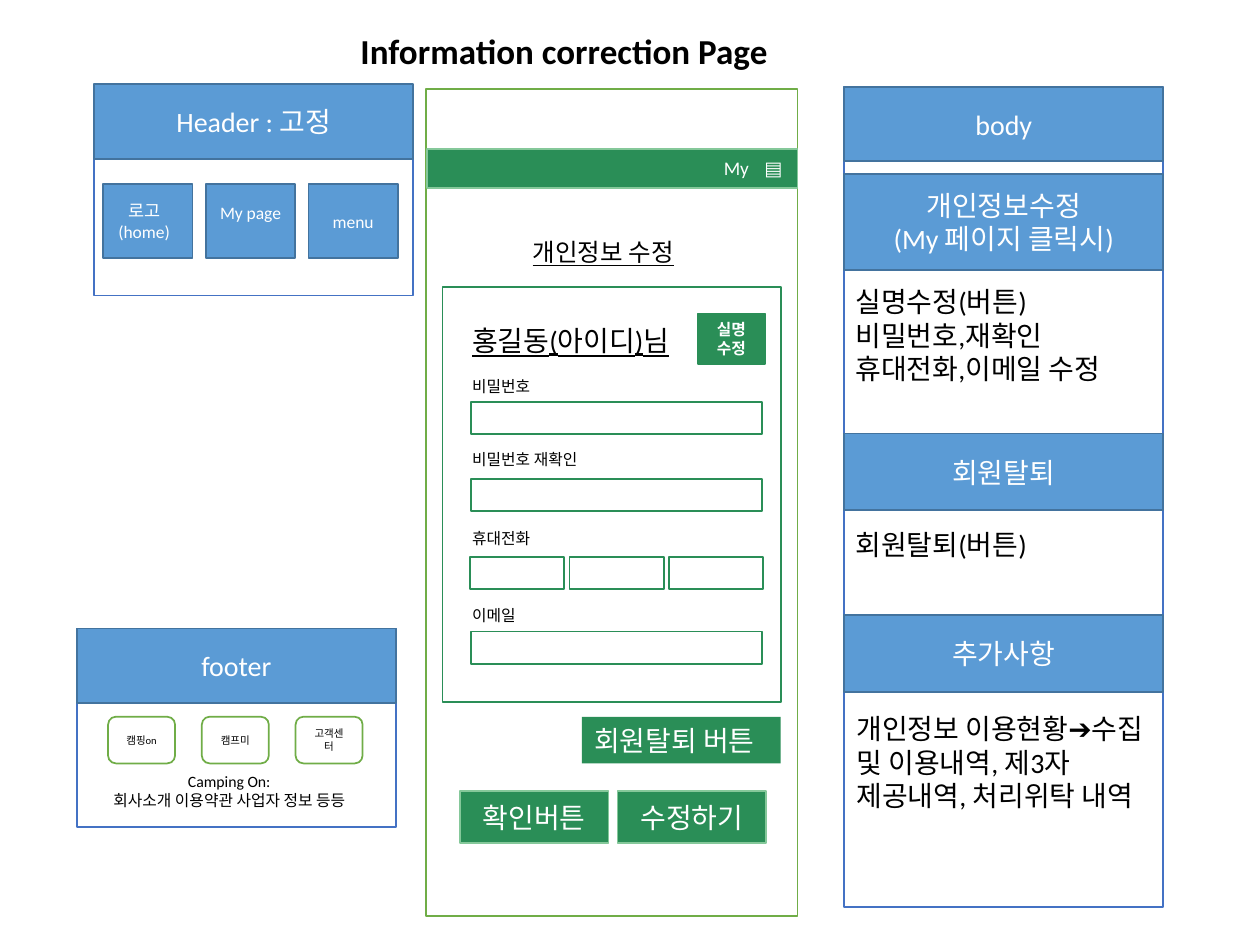
"""Build the wireframe slide for the information correction page."""
from pptx import Presentation
from pptx.dml.color import RGBColor
from pptx.enum.shapes import MSO_SHAPE
from pptx.enum.text import MSO_ANCHOR, PP_ALIGN
from pptx.util import Cm, Pt

BLUE, EDGE, FRAME = "5B9BD5", "43739E", "4472C4"
GREEN, MINT, LIME = "2A8E57", "85C89A", "70AD47"
WHITE, BLACK = "FFFFFF", "000000"
MID, LEFT = PP_ALIGN.CENTER, PP_ALIGN.LEFT


def write(shape, lines, size, color, align=LEFT, bold=False, under=False):
    frame = shape.text_frame
    frame.word_wrap = True
    for i, line in enumerate(lines):
        para = frame.add_paragraph() if i else frame.paragraphs[0]
        para.alignment = align
        run = para.add_run()
        run.text = line
        font = run.font
        font.name, font.size = "Calibri", Pt(size)
        font.bold, font.underline = bold, under
        font.color.rgb = RGBColor.from_string(color)
    return shape


def box(x, y, w, h, fill, line, kind=MSO_SHAPE.RECTANGLE):
    shape = slide.shapes.add_shape(kind, Cm(x), Cm(y), Cm(w), Cm(h))
    shape.shadow.inherit = False
    shape.text_frame.vertical_anchor = MSO_ANCHOR.MIDDLE
    if fill:
        shape.fill.solid()
        shape.fill.fore_color.rgb = RGBColor.from_string(fill)
    else:
        shape.fill.background()
    if line:
        shape.line.color.rgb = RGBColor.from_string(line)
        shape.line.width = Pt(1)
    else:
        shape.line.fill.background()
    return shape


deck = Presentation()
deck.slide_width, deck.slide_height = Cm(25.4), Cm(19.05)
slide = deck.slides.add_slide(deck.slide_layouts[6])

for x, y, w, h, line in [
    (8.59, 1.8, 7.49, 16.66, LIME),
    (17.02, 1.75, 6.43, 16.54, FRAME),
    (1.9, 1.96, 6.43, 4, FRAME),
    (1.55, 12.67, 6.43, 4, FRAME),
]:
    box(x, y, w, h, WHITE, line)

for x, y, h, lines in [
    (1.9, 1.7, 1.5, ["Header : 고정"]),
    (1.55, 12.67, 1.5, ["footer"]),
    (17.02, 1.75, 1.5, ["body"]),
    (17.02, 3.51, 1.93, ["개인정보수정", "(My 페이지 클릭시)"]),
    (17.02, 8.74, 1.55, ["회원탈퇴"]),
    (17.02, 12.4, 1.55, ["추가사항"]),
]:
    write(box(x, y, 6.43, h, BLUE, EDGE), lines, 16, WHITE, MID)

for i, (name, right, low) in enumerate([
    ("로고(home)", 0.4, 0.13), ("My page", 0.25, 0.49), ("menu", 0.25, 0.13),
]):
    link = box(2.08 + 2.07 * i, 3.71, 1.8, 1.5, BLUE, EDGE)
    link.text_frame.margin_right = Cm(right)
    link.text_frame.margin_bottom = Cm(low)
    write(link, [name], 10, WHITE, MID)

for i, name in enumerate(["캠핑on", "캠프미", "고객센터"]):
    chip = box(2.18 + 1.89 * i, 14.45, 1.35, 0.94, WHITE, LIME, MSO_SHAPE.ROUNDED_RECTANGLE)
    write(chip, [name], 6, BLACK, MID)

box(8.61, 3, 7.47, 0.79, GREEN, MINT)
for x, w, name in [(14.25, 1.19, "My"), (15.16, 0.81, "▤")]:
    write(box(x, 3.05, w, 0.66, None, GREEN), [name], 11, WHITE, MID)

box(8.92, 5.79, 6.83, 8.36, None, GREEN)
badge = box(14.07, 6.32, 1.35, 1.02, GREEN, GREEN)
write(badge, ["실명수정"], 9, WHITE, MID, bold=True)

for y, x, w, count in [
    (8.1, 9.5, 5.87, 1), (9.65, 9.5, 5.87, 1), (11.23, 9.47, 1.9, 3), (12.73, 9.5, 5.87, 1),
]:
    for i in range(count):
        box(x + 2.01 * i, y, w, 0.65, WHITE, GREEN)

leave = box(11.73, 14.45, 4.01, 0.94, GREEN, None)
write(leave, ["회원탈퇴 버튼"], 16, WHITE)
for i, name in enumerate(["확인버튼", "수정하기"]):
    write(box(9.27 + 3.18 * i, 15.95, 3, 1.04, GREEN, MINT), [name], 16, WHITE, MID)

plain, title, under = {}, {"align": MID, "bold": True}, {"under": True}
for x, y, w, h, size, style, lines in [
    (6.1, 0.48, 10.54, 1.12, 20, title, ["Information correction Page"]),
    (10.49, 4.65, 3.61, 0.86, 14, under, ["개인정보 수정"]),
    (9.27, 6.4, 5.2, 0.94, 16, under, ["홍길동(아이디)님"]),
    (9.27, 7.47, 2.82, 0.64, 9, plain, ["비밀번호"]),
    (9.27, 8.94, 2.82, 0.64, 9, plain, ["비밀번호 재확인"]),
    (9.27, 10.54, 2.82, 0.64, 9, plain, ["휴대전화"]),
    (9.27, 12.09, 2.82, 0.64, 9, plain, ["이메일"]),
    (1.9, 15.44, 5.44, 1.04, 9, {"align": MID},
     ["Camping On:", "회사소개 이용약관 사업자 정보 등등"]),
    (17, 5.61, 6.45, 2.3, 16, plain,
     ["실명수정(버튼)", "비밀번호,재확인", "휴대전화,이메일 수정"]),
    (17, 10.52, 6.45, 0.94, 16, plain, ["회원탈퇴(버튼)"]),
    (17.02, 14.22, 6.45, 3, 16, plain,
     ["개인정보 이용현황➔수집 및 이용내역, 제3자 제공내역, 처리위탁 내역"]),
]:
    note = slide.shapes.add_textbox(Cm(x), Cm(y), Cm(w), Cm(h))
    write(note, lines, size, BLACK, **style)

deck.save("out.pptx")
